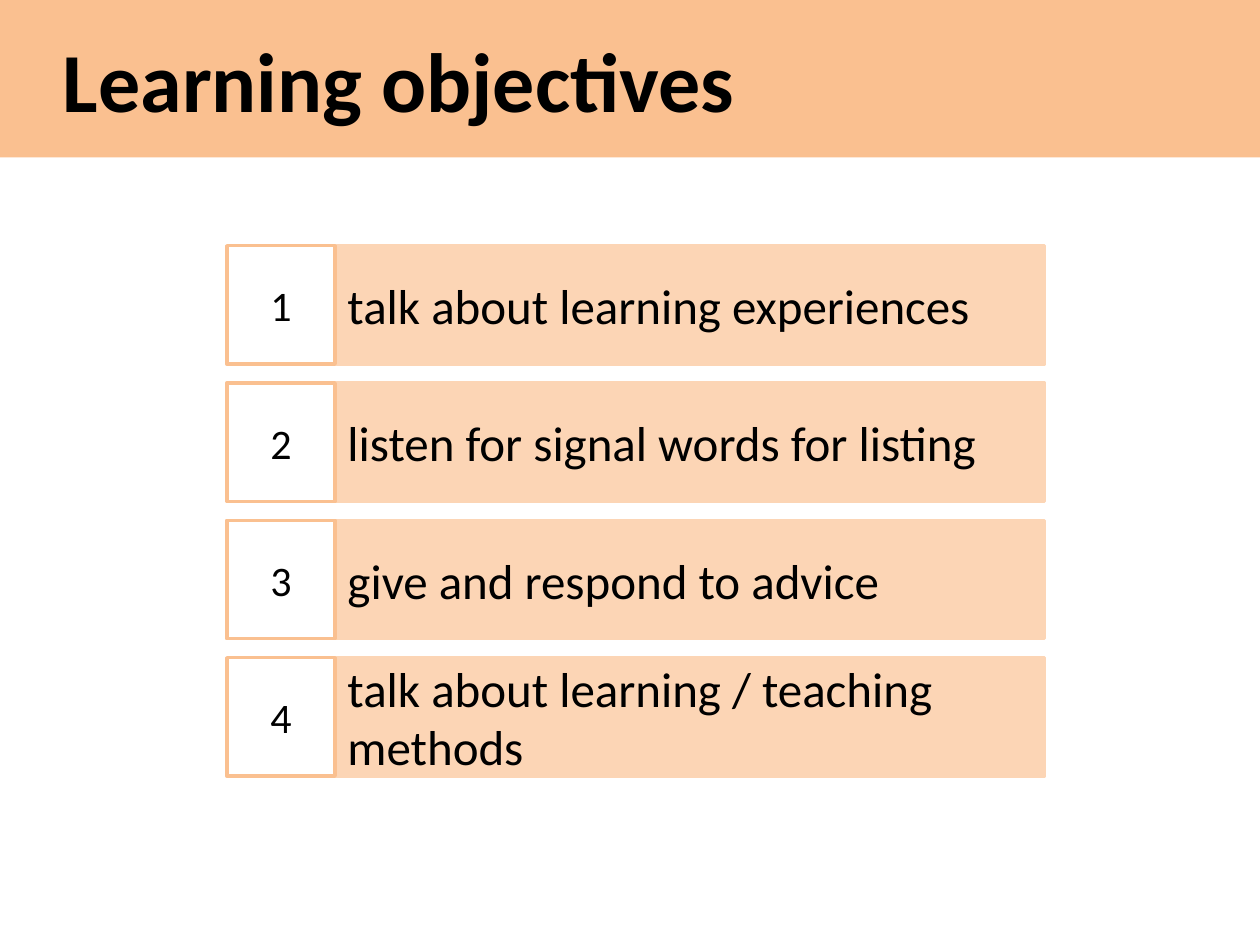
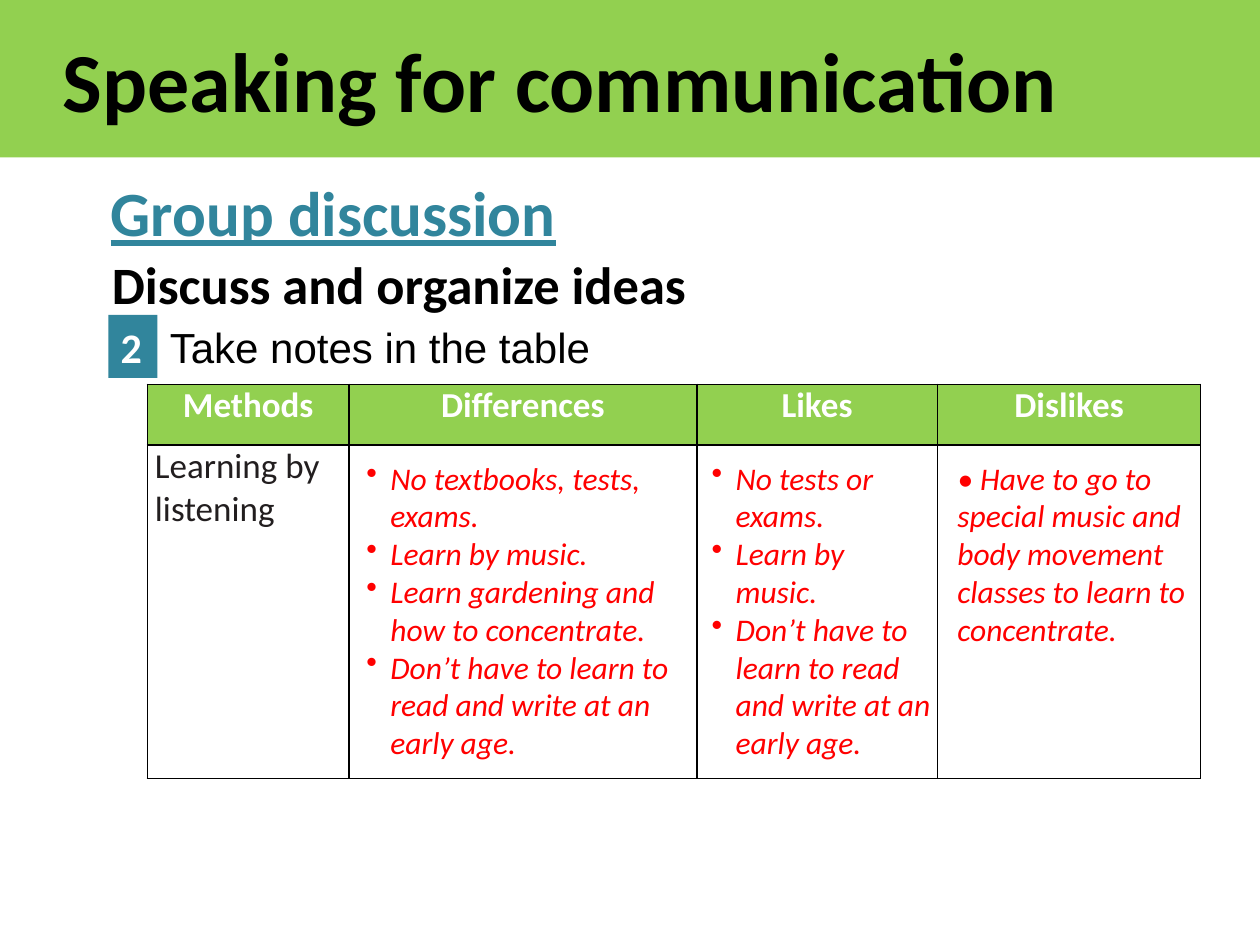
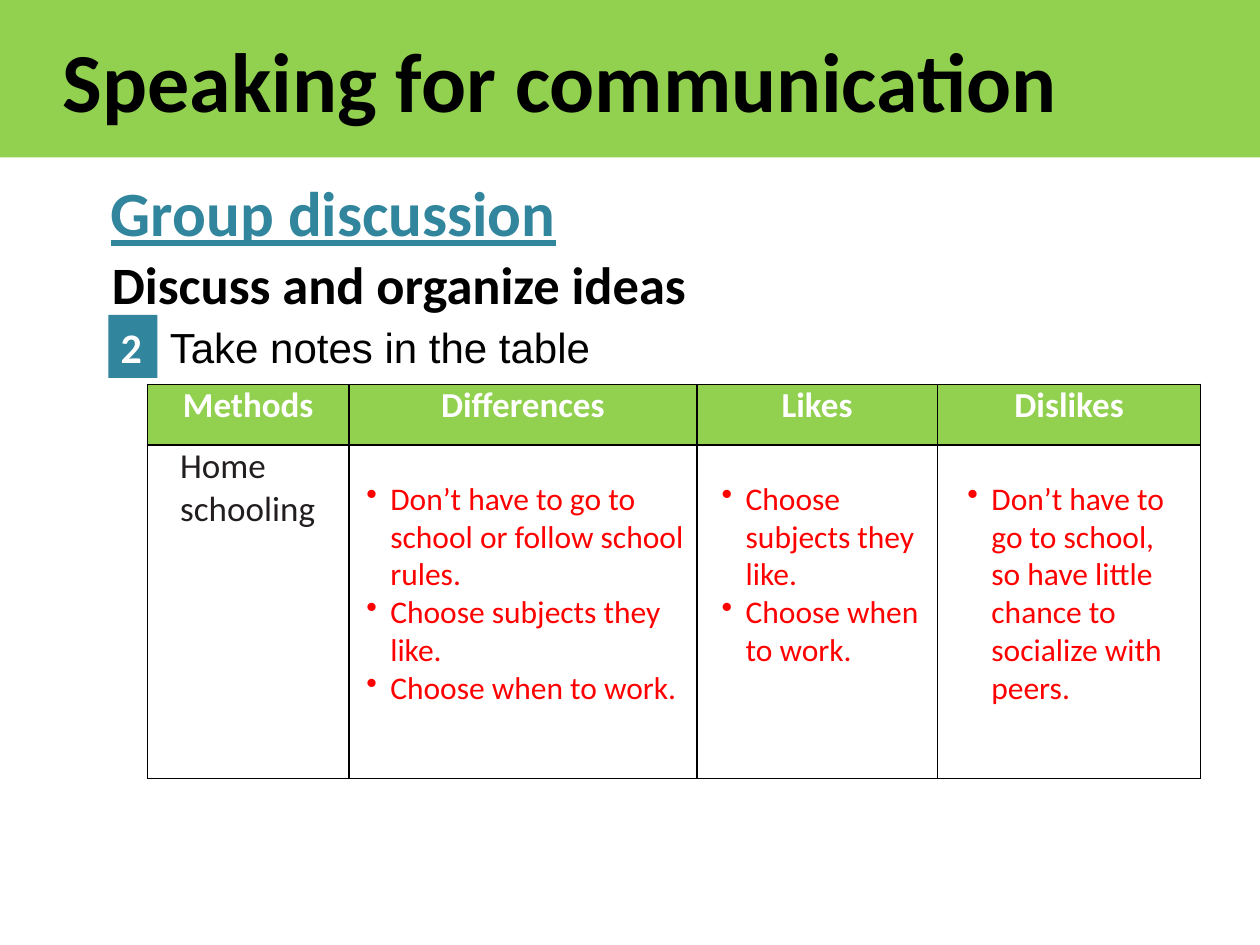
from lxml import etree
from pptx import Presentation
from pptx.dml.color import RGBColor
from pptx.enum.shapes import MSO_SHAPE
from pptx.enum.text import MSO_ANCHOR, PP_ALIGN
from pptx.oxml.ns import qn
from pptx.util import Inches, Pt

RECTANGLE = MSO_SHAPE.RECTANGLE
TOP, MIDDLE = MSO_ANCHOR.TOP, MSO_ANCHOR.MIDDLE
LEFT, CENTER = PP_ALIGN.LEFT, PP_ALIGN.CENTER

COLORS = {
    "black": "000000",
    "white": "FFFFFF",
    "orange": "FAC090",
    "peach": "FCD5B5",
    "green": "92D050",
    "teal": "31859C",
    "ink": "221E1F",
    "answer": "FF0000",
}
PAGE_WIDTH, PAGE_HEIGHT = 10, 7.5
BAND_HEIGHT = PAGE_HEIGHT / 6
HANG = 0.19


def add_box(page, left, top, width, height, fill=None, line=None, anchor=TOP):
    """Add a filled rectangle, or a plain text box when no fill is given."""
    place = [Inches(length) for length in (left, top, width, height)]
    if fill:
        box = page.shapes.add_shape(RECTANGLE, *place)
        box.shadow.inherit = False
        box.fill.solid()
        box.fill.fore_color.rgb = RGBColor.from_string(COLORS[fill])
        if line:
            box.line.color.rgb = RGBColor.from_string(COLORS[line])
            box.line.width = Pt(2)
        else:
            box.line.fill.background()
    else:
        box = page.shapes.add_textbox(*place)
    box.text_frame.word_wrap = True
    box.text_frame.vertical_anchor = anchor
    return box


def write(para, text, size, color="black", align=LEFT, font="Calibri",
          bold=False, italic=False, underline=False):
    para.alignment = align
    span = para.add_run()
    span.text = text
    span.font.name = font
    span.font.size = Pt(size)
    span.font.bold = bold
    span.font.italic = italic
    span.font.underline = underline
    span.font.color.rgb = RGBColor.from_string(COLORS[color])


deck = Presentation()
deck.slide_width = Inches(PAGE_WIDTH)
deck.slide_height = Inches(PAGE_HEIGHT)

# Title bands
pages = []
for title, band_color in [
    ("Learning objectives", "orange"),
    ("Speaking for communication", "green"),
    ("Speaking for communication", "green"),
]:
    page = deck.slides.add_slide(deck.slide_layouts[6])
    band = add_box(page, 0, 0, PAGE_WIDTH, BAND_HEIGHT, band_color, anchor=MIDDLE)
    band.text_frame.margin_left = Inches(0.5)
    write(band.text_frame.paragraphs[0], title, 48, bold=True)
    pages.append(page)

# Numbered objectives
objectives = [
    "talk about learning experiences",
    "listen for signal words for listing",
    "give and respond to advice",
    "talk about learning / teaching methods",
]
LIST_LEFT, LIST_TOP = 1.8, 1.95
NUMBER_WIDTH, OBJECTIVE_WIDTH = 0.86, 5.63
ROW_HEIGHT, ROW_GAP = 0.94, 0.15
for index, objective in enumerate(objectives):
    top = LIST_TOP + index * (ROW_HEIGHT + ROW_GAP)
    bar = add_box(pages[0], LIST_LEFT + NUMBER_WIDTH, top, OBJECTIVE_WIDTH,
                  ROW_HEIGHT, "peach", "peach", MIDDLE)
    write(bar.text_frame.paragraphs[0], objective, 28)
    number = add_box(pages[0], LIST_LEFT, top, NUMBER_WIDTH, ROW_HEIGHT,
                     "white", "orange", MIDDLE)
    write(number.text_frame.paragraphs[0], str(index + 1), 24, align=CENTER)

# Group discussion pages
HEADERS = ["Methods", "Differences", "Likes", "Dislikes"]
COLUMN_WIDTHS = [1.6, 2.76, 1.91, 2.09]
ROW_HEIGHTS = [0.48, 2.65]
TABLE_LEFT, TABLE_TOP = 1.17, 3.05
discussions = [
    {
        "method": "Learning by listening", "inset": 0.06, "italic": True,
        "top": 3.59,
        "notes": [
            (2.81, 2.66, 2.83, True, [
                "No textbooks, tests, exams.",
                "Learn by music.",
                "Learn gardening and how to concentrate.",
                "Don’t have to learn to read and write at an early age.",
            ]),
            (5.55, 1.95, 2.83, True, [
                "No tests or exams.",
                "Learn by music.",
                "Don’t have to learn to read and write at an early age.",
            ]),
            (7.5, 2.03, 1.92, False, [
                "• Have to go to special music and body movement classes "
                "to learn to concentrate.",
            ]),
        ],
    },
    {
        "method": "Home schooling", "inset": 0.26, "italic": False,
        "top": 3.75,
        "notes": [
            (2.81, 2.73, 1.92, True, [
                "Don’t have to go to school or follow school rules.",
                "Choose subjects they like.",
                "Choose when to work.",
            ]),
            (5.63, 1.8, 1.62, True, [
                "Choose subjects they like.",
                "Choose when to work.",
            ]),
            (7.58, 1.95, 1.92, True, [
                "Don’t have to go to school, so have little chance to "
                "socialize with peers.",
            ]),
        ],
    },
]

for page, discussion in zip(pages[1:], discussions):
    heading = add_box(page, 0.78, 1.33, 3.78, 0.71)
    write(heading.text_frame.paragraphs[0], "Group discussion", 36, "teal",
          bold=True, underline=True)
    badge = add_box(page, 0.86, 2.5, 0.39, 0.5, "teal")
    write(badge.text_frame.paragraphs[0], "2", 24, "white", bold=True)
    task = add_box(page, 1.25, 2.5, 7.34, 0.5)
    write(task.text_frame.paragraphs[0], "Take notes in the table", 24, font="Arial")
    subheading = add_box(page, 0.79, 1.95, 5.14, 0.61)
    write(subheading.text_frame.paragraphs[0], "Discuss and organize ideas", 30,
          bold=True)

    table = page.shapes.add_table(
        len(ROW_HEIGHTS), len(COLUMN_WIDTHS), Inches(TABLE_LEFT), Inches(TABLE_TOP),
        Inches(sum(COLUMN_WIDTHS)), Inches(sum(ROW_HEIGHTS))).table
    table.first_row = table.horz_banding = False
    for column, width in zip(table.columns, COLUMN_WIDTHS):
        column.width = Inches(width)
    for row, height in zip(table.rows, ROW_HEIGHTS):
        row.height = Inches(height)
    for cell in table.iter_cells():
        cell.margin_left = cell.margin_right = Inches(0.06)
        cell.margin_top = cell.margin_bottom = 0
        properties = cell._tc.get_or_add_tcPr()
        for side in ("a:lnL", "a:lnR", "a:lnT", "a:lnB"):
            border = etree.SubElement(properties, qn(side), w=str(Pt(1)))
            fill = etree.SubElement(border, qn("a:solidFill"))
            etree.SubElement(fill, qn("a:srgbClr"), val=COLORS["black"])
        cell.fill.background()
    for column, header in enumerate(HEADERS):
        cell = table.cell(0, column)
        cell.fill.solid()
        cell.fill.fore_color.rgb = RGBColor.from_string(COLORS["green"])
        write(cell.text_frame.paragraphs[0], header, 20, "white", CENTER, bold=True)
    method = table.cell(1, 0)
    method.margin_left = Inches(discussion["inset"])
    write(method.text_frame.paragraphs[0], discussion["method"], 20, "ink")

    for left, width, height, bulleted, notes in discussion["notes"]:
        box = add_box(page, left, discussion["top"], width, height)
        for index, note in enumerate(notes):
            frame = box.text_frame
            para = frame.add_paragraph() if index else frame.paragraphs[0]
            if bulleted:
                properties = para._p.get_or_add_pPr()
                properties.set("marL", str(Inches(HANG)))
                properties.set("indent", str(-Inches(HANG)))
                etree.SubElement(properties, qn("a:buChar"), char="•")
            write(para, note, 18, "answer", italic=discussion["italic"])

deck.save("out.pptx")
